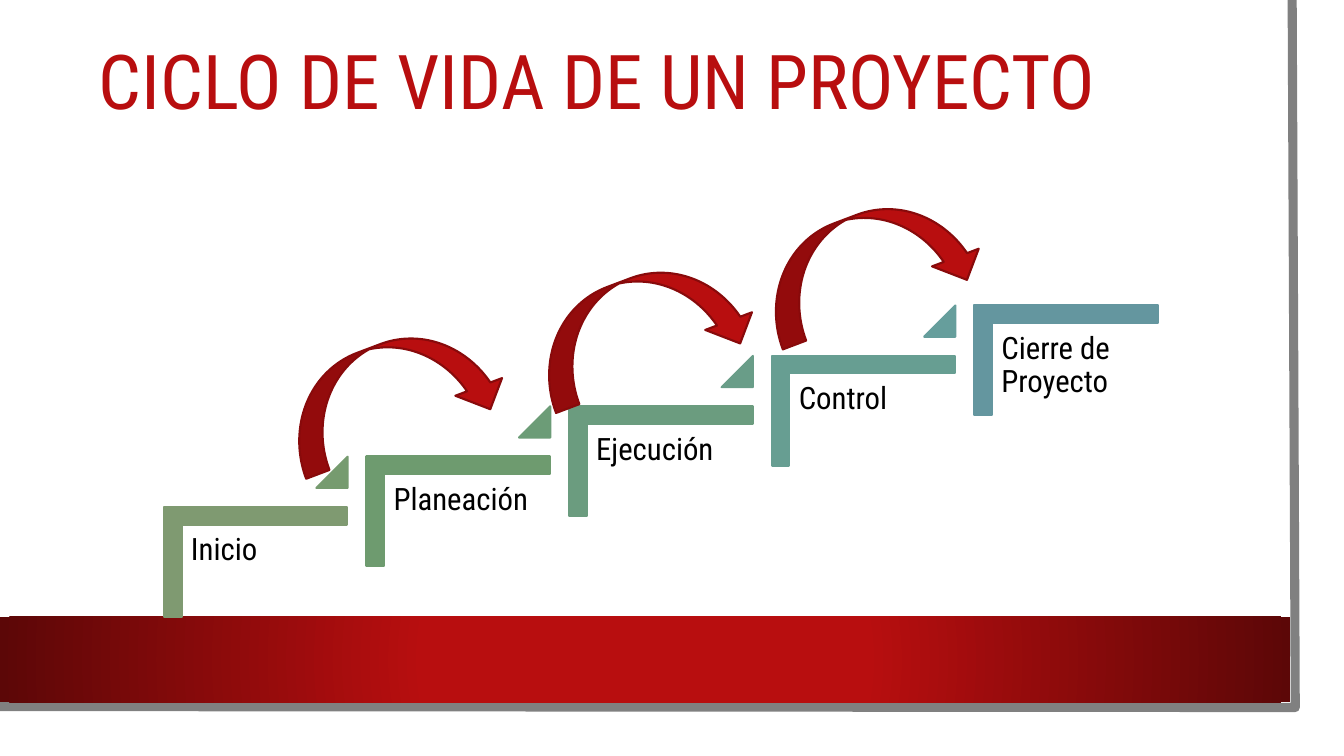
from lxml import etree
from pptx import Presentation
from pptx.dml.color import RGBColor
from pptx.enum import shapes, text
from pptx.util import Pt

A = "http://schemas.openxmlformats.org/drawingml/2006/main"
SHAPE = shapes.MSO_SHAPE
COLORS = {
    "page": "FFFFFF", "edge": "808080", "red": "B80E0F",
    "dark_red": "5C0707", "arrow_line": "880A0B", "label": "000000",
}
# name, stair colour, colour of the triangle that leads to the next stair
STAGES = [
    ("Inicio", "7F9A71", "769B6F"),
    ("Planeación", "6E9B6F", "6C9C77"),
    ("Ejecución", "6B9C7F", "699D88"),
    ("Control", "679E92", "669E9C"),
    ("Cierre de Proyecto", "64969F", None),
]
STEP_X, STEP_Y = 144.72, 36
ARROWS = [(379.5, 198), (201, 245), (541.5, 152.6)]


class Deck:
    def __init__(self, font):
        self.font = font
        self.prs = Presentation()
        self.prs.slide_width, self.prs.slide_height = Pt(960), Pt(540)
        self.s = self.prs.slides.add_slide(self.prs.slide_layouts[5])

    def shape(self, kind, box, fill, line=None, rotation=0, adjust=()):
        sp = self.s.shapes.add_shape(kind, *map(Pt, box))
        sp.shadow.inherit = False
        sp.rotation = rotation
        for i, value in enumerate(adjust):
            sp.adjustments[i] = value
        sp.fill.solid()
        sp.fill.fore_color.rgb = RGBColor.from_string(fill)
        if line:
            sp.line.color.rgb = RGBColor.from_string(line)
            sp.line.width = Pt(1.5)
        else:
            sp.line.fill.background()
        return sp

    def radial_band(self, box, inner, outer):
        """Rectangle with a circular gradient, plain inner colour up to 34 %."""
        sp = self.shape(SHAPE.RECTANGLE, box, inner)
        grad = etree.fromstring(
            f'<a:gradFill xmlns:a="{A}" rotWithShape="1"><a:gsLst>'
            f'<a:gs pos="34000"><a:srgbClr val="{inner}"/></a:gs>'
            f'<a:gs pos="100000"><a:srgbClr val="{outer}"/></a:gs></a:gsLst>'
            '<a:path path="circle"><a:fillToRect l="50000" t="50000" '
            'r="50000" b="50000"/></a:path></a:gradFill>')
        solid = sp.element.spPr.find(f"{{{A}}}solidFill")
        solid.getparent().replace(solid, grad)

    def outline(self, points, color, width):
        builder = self.s.shapes.build_freeform(
            *(Pt(v) for v in points[0]), scale=1.0)
        builder.add_line_segments(
            [(Pt(x), Pt(y)) for x, y in points[1:]], close=False)
        sp = builder.convert_to_shape()
        sp.shadow.inherit = False
        sp.fill.background()
        sp.line.color.rgb = RGBColor.from_string(color)
        sp.line.width = Pt(width)

    def set_words(self, tf, words, size, color):
        tf.text = words
        tf.word_wrap = True
        p = tf.paragraphs[0]
        p.alignment = text.PP_ALIGN.LEFT
        p.line_spacing = 0.9
        font = p.runs[0].font
        font.name, font.size = self.font, Pt(size)
        font.color.rgb = RGBColor.from_string(color)

    def label(self, box, words):
        tf = self.s.shapes.add_textbox(*map(Pt, box)).text_frame
        tf.margin_left = tf.margin_right = Pt(6.6)
        tf.margin_top = tf.margin_bottom = Pt(6.6)
        self.set_words(tf, words, 22, COLORS["label"])

    def title(self, box, words):
        """Fill the title placeholder and bring it in front of the page."""
        sp = self.s.shapes.title
        sp.left, sp.top, sp.width, sp.height = map(Pt, box)
        sp.text_frame.auto_size = text.MSO_AUTO_SIZE.NONE
        sp.text_frame.vertical_anchor = text.MSO_ANCHOR.MIDDLE
        self.set_words(sp.text_frame, words, 54, COLORS["red"])
        self.s.shapes.element.append(sp.element)


def main():
    deck = Deck("Roboto Condensed")
    deck.shape(SHAPE.RECTANGLE, (0, 0, 943, 523.5), COLORS["page"])
    deck.outline([(923, 0), (925.2, 505.4), (-2.2, 504.7)], COLORS["edge"], 6.5)
    deck.radial_band((0, 440.6, 921.6, 61.2), COLORS["red"], COLORS["dark_red"])

    for i, (name, stair, triangle) in enumerate(STAGES):
        x, y = i * STEP_X, -i * STEP_Y
        deck.shape(SHAPE.CORNER, (143.3 + x, 335.8 + y, 78.5, 131), stair,
                   stair, 90, (0.161, 0.161))
        deck.label((129.8 + x, 375 + y, 118, 104), name)
        if triangle:
            deck.shape(SHAPE.ISOSCELES_TRIANGLE, (226 + x, 326.2 + y, 22.3, 22.3),
                       triangle, triangle, adjust=(1,))

    deck.title((63.4, 15.1, 818.6, 90.7), "CICLO DE VIDA DE UN PROYECTO")
    for x, y in ARROWS:
        deck.shape(SHAPE.CURVED_DOWN_ARROW, (x, y, 158.4, 71.3), COLORS["red"],
                   COLORS["arrow_line"], 339.3)
    deck.prs.save("out.pptx")


if __name__ == "__main__":
    main()
